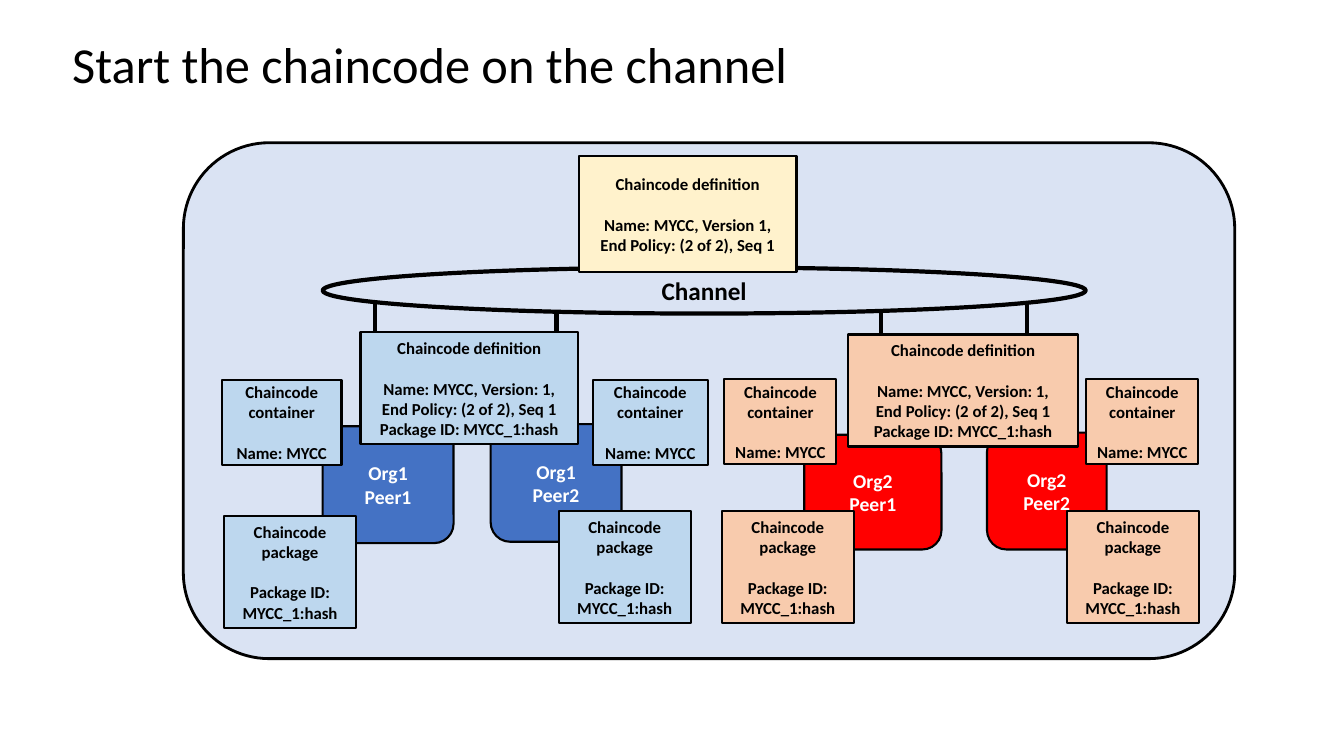
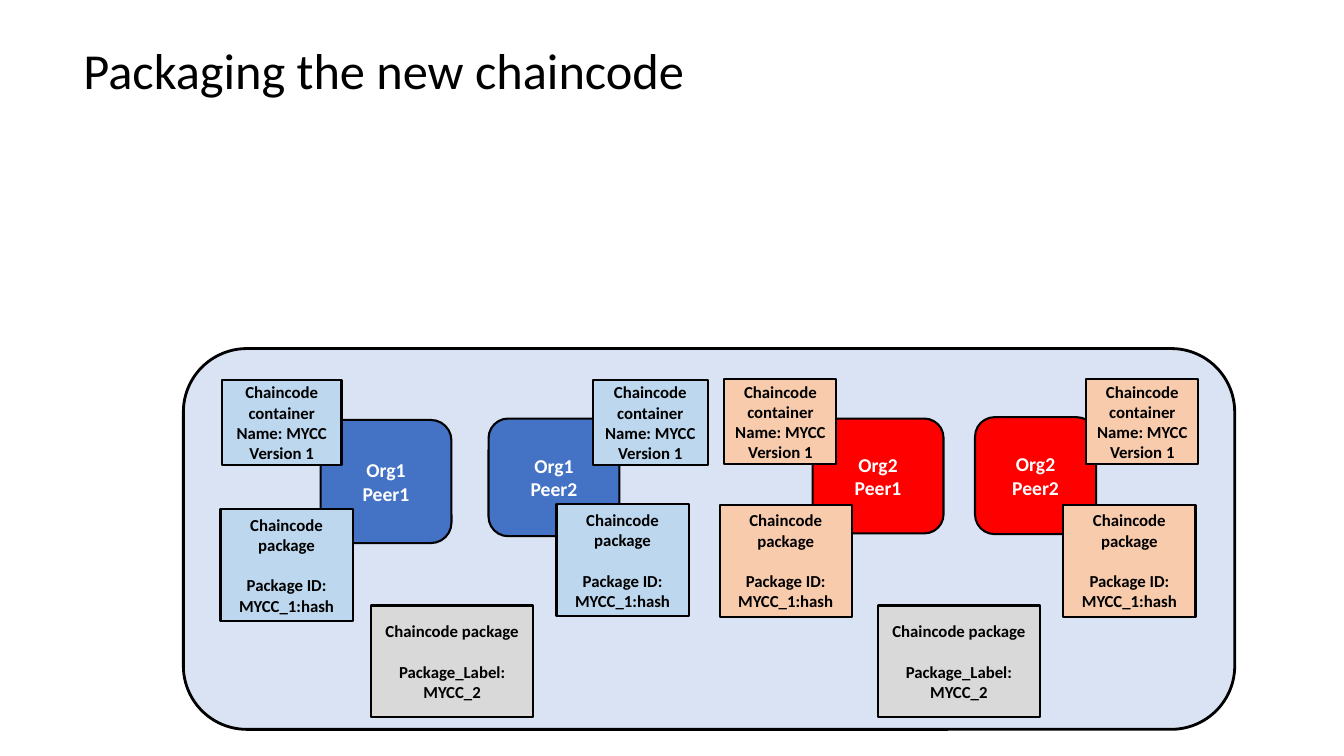
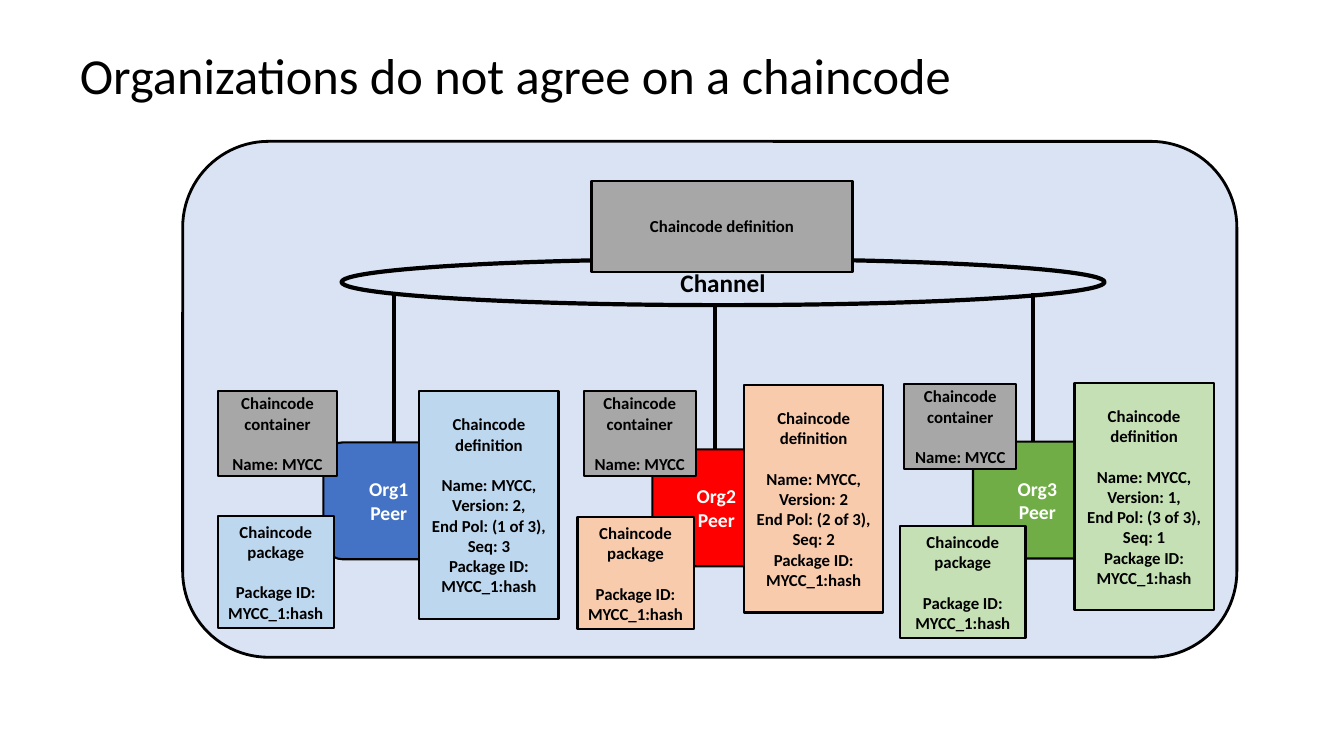
import pptx
import pptx.dml.color
import pptx.enum.shapes
import pptx.enum.text
import pptx.oxml
import pptx.oxml.ns
import pptx.util

Pt = pptx.util.Pt
SHAPE = pptx.enum.shapes.MSO_SHAPE
ALIGN = pptx.enum.text.PP_ALIGN
MIDDLE = pptx.enum.text.MSO_ANCHOR.MIDDLE


class Theme:
    font = "Calibri"
    title_size, channel_size, peer_size, note_size = 36, 18, 14, 12
    panel_line, channel_line, box_line = 2, 3, 1.5
    blank_line = 14.65
    black, white = "000000", "FFFFFF"
    panel, agreed, new, pending = "DAE3F3", "FFF2CC", "D9D9D9", "A7A7A7"
    peer = {"Org1": "4472C4", "Org2": "FF0000", "Org3": "70AD47"}
    note = {"Org1": "BDD7EE", "Org2": "F8CBAD", "Org3": "C5E0B4"}


def rgb(color):
    return pptx.dml.color.RGBColor.from_string(color)


def add_box(slide, at, fill, lines=(), size=Theme.note_size, color=Theme.black,
            outline=SHAPE.RECTANGLE, weight=Theme.box_line, gap=0):
    """Add a bordered shape; gap is the space below its first paragraph."""
    box = slide.shapes.add_shape(outline, *map(Pt, at))
    box.shadow.inherit = False
    if fill:
        box.fill.solid()
        box.fill.fore_color.rgb = rgb(fill)
    else:
        box.fill.background()
    box.line.color.rgb = rgb(Theme.black)
    box.line.width = Pt(weight)
    frame = box.text_frame
    frame.word_wrap = True
    frame.vertical_anchor = MIDDLE
    for i, line in enumerate(lines):
        paragraph = frame.paragraphs[0] if i == 0 else frame.add_paragraph()
        paragraph.text = line
        paragraph.alignment = ALIGN.CENTER
        paragraph.font.name = Theme.font
        paragraph.font.size = Pt(size)
        paragraph.font.bold = True
        paragraph.font.color.rgb = rgb(color)
        if i == 1 and gap:
            paragraph.space_before = Pt(gap)


deck = pptx.Presentation()
deck.slide_width, deck.slide_height = Pt(960), Pt(540)

# Titles and background panels
openings = [
    ("Start the chaincode on the channel", (48, 13.5), (131, 102, 751, 368.5)),
    ("Packaging the new chaincode", (56, 18), (131, 249, 751, 272)),
    ("Organizations do not agree on a chaincode", (53.5, 21.5), (130.5, 101, 753, 368.5)),
]
for heading, (left, top), panel_at in openings:
    slide = deck.slides.add_slide(deck.slide_layouts[5])
    title = slide.shapes.title
    title.left, title.top, title.width, title.height = map(Pt, (left, top, 828, 68.5))
    frame = title.text_frame
    frame.text = heading
    frame.word_wrap = True
    frame.auto_size = pptx.enum.text.MSO_AUTO_SIZE.NONE
    frame.vertical_anchor = MIDDLE
    frame.margin_left = frame.margin_right = Pt(3.6)
    frame.margin_top = frame.margin_bottom = Pt(3.6)
    paragraph = frame.paragraphs[0]
    paragraph.alignment = ALIGN.LEFT
    paragraph.line_spacing = 0.9
    paragraph.font.name = Theme.font
    paragraph.font.size = Pt(Theme.title_size)
    paragraph.font.color.rgb = rgb(Theme.black)
    add_box(slide, panel_at, Theme.panel, outline=SHAPE.ROUNDED_RECTANGLE,
            weight=Theme.panel_line)
start, packaging, disagree = deck.slides

# Channels, their links down to the peers, and the channel-wide definition
channels = [
    (start, (230.5, 191),
     [(268, 217.5, 298), (397.5, 222.5, 303), (629.5, 222.5, 303), (733.5, 217.5, 340)],
     (413.5, 111.5, 155.5, 83), Theme.agreed,
     ["Chaincode definition", "Name: MYCC, Version 1,", "End Policy: (2 of 2), Seq 1"]),
    (disagree, (244, 185),
     [(281.5, 209.5, 316), (511, 219, 321), (738, 209.5, 316)],
     (422.5, 129, 186.5, 65), Theme.pending, ["Chaincode definition"]),
]
for slide, corner, links, definition_at, fill, definition in channels:
    add_box(slide, (*corner, 545, 33), None, ["Channel"], Theme.channel_size,
            outline=SHAPE.OVAL, weight=Theme.channel_line)
    for x, top, bottom in links:
        link = slide.shapes.add_connector(
            pptx.enum.shapes.MSO_CONNECTOR.STRAIGHT, Pt(x), Pt(top), Pt(x), Pt(bottom))
        link.line.color.rgb = rgb(Theme.black)
        link.line.width = Pt(Theme.channel_line)
        link._element.spPr.append(
            pptx.oxml.parse_xml(f"<a:effectLst {pptx.oxml.ns.nsdecls('a')}/>"))
    add_box(slide, definition_at, fill, definition, gap=Theme.blank_line)

# Peers, each with its chaincode package and container
running = ["Chaincode container", "Name: MYCC"]
container_1 = (158.5, 271.5, 85.5, 60.5)
container_2 = (423.5, 271.5, 82, 60.5)
container_3 = (517.5, 271, 80, 60.5)
container_4 = (776, 271, 80, 60.5)
peers = [
    (start, "Org1", "Peer1", (230.5, 304.5, 93.5, 83.5), (160, 368.5, 94.5, 80), container_1),
    (start, "Org1", "Peer2", (350.5, 303, 93.5, 84), (399, 365, 94.5, 80), container_2),
    (start, "Org2", "Peer1", (574.5, 310.5, 98, 82), (515.5, 365, 94.5, 80), container_3),
    (start, "Org2", "Peer2", (705, 309, 85.5, 83.5), (762, 365, 94.5, 80), container_4),
    (packaging, "Org1", "Peer1", (229, 300, 93.5, 88), (157.5, 363.5, 94.5, 80), container_1),
    (packaging, "Org1", "Peer2", (349, 299, 93.5, 84), (397.5, 360, 94.5, 80), container_2),
    (packaging, "Org2", "Peer1", (580.5, 299, 93.5, 82), (514, 360.5, 94.5, 80), container_3),
    (packaging, "Org2", "Peer2", (696.5, 298, 86.5, 83.5), (759.5, 360.5, 94.5, 80), container_4),
    (disagree, "Org1", "Peer", (231, 316, 93.5, 83.5), (155.5, 368.5, 83, 80),
     (155.5, 279.5, 85.5, 60.5)),
    (disagree, "Org2", "Peer", (466, 321, 91.5, 83.5), (412.5, 369.5, 83, 80),
     (417, 279.5, 80, 60.5)),
    (disagree, "Org3", "Peer", (695, 315.5, 92, 83.5), (643, 376, 89.5, 80),
     (646, 274.5, 80, 60.5)),
]
for slide, org, peer, peer_at, package_at, container_at in peers:
    add_box(slide, peer_at, Theme.peer[org], [org, peer], Theme.peer_size, Theme.white,
            SHAPE.ROUNDED_RECTANGLE)
    add_box(slide, package_at, Theme.note[org],
            ["Chaincode package", "Package ID: MYCC_1:hash"], gap=Theme.blank_line)
    container_fill = Theme.pending if slide == disagree else Theme.note[org]
    if slide == packaging:
        add_box(slide, container_at, container_fill, [*running, "Version 1"])
    else:
        add_box(slide, container_at, container_fill, running, gap=Theme.blank_line)

# Definitions held by each organization
definitions = [
    (start, "Org1", (257.5, 237.5, 155.5, 80), "Version: 1,", "End Policy: (2 of 2), Seq 1"),
    (start, "Org2", (606, 239, 164, 80), "Version: 1,", "End Policy: (2 of 2), Seq 1"),
    (disagree, "Org1", (299.5, 279.5, 99.5, 162.5), "Version: 2,", "End Pol: (1 of 3), Seq: 3"),
    (disagree, "Org2", (531.5, 275, 99.5, 162.5), "Version: 2", "End Pol: (2 of 3), Seq: 2"),
    (disagree, "Org3", (767.5, 273.5, 99.5, 162.5), "Version: 1,", "End Pol: (3 of 3), Seq: 1"),
]
for slide, org, at, version, policy in definitions:
    add_box(slide, at, Theme.note[org],
            ["Chaincode definition", f"Name: MYCC, {version}", policy,
             "Package ID: MYCC_1:hash"], gap=Theme.blank_line)

# New packages, one for each organization
for left in (265, 627):
    add_box(packaging, (left, 432.5, 116, 80), Theme.new,
            ["Chaincode package", "Package_Label: MYCC_2"], gap=Theme.blank_line)

deck.save("out.pptx")
